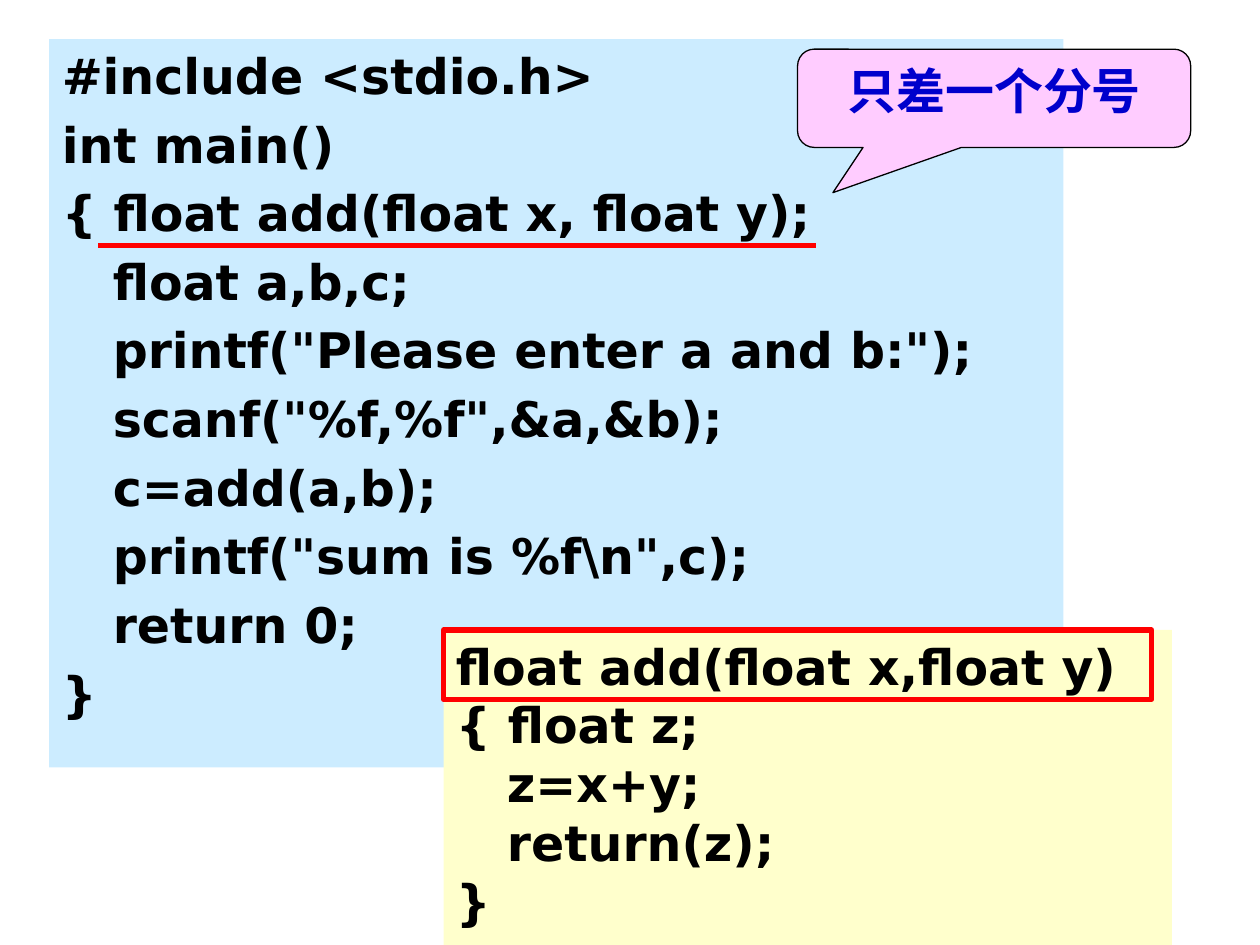
from dataclasses import dataclass

from lxml import etree
from pptx import Presentation
from pptx.dml.color import RGBColor
from pptx.enum.shapes import MSO_CONNECTOR, MSO_SHAPE
from pptx.enum.text import MSO_ANCHOR, MSO_AUTO_SIZE, PP_ALIGN
from pptx.oxml.ns import qn
from pptx.util import Inches, Pt

RECT = MSO_SHAPE.RECTANGLE
CALLOUT = MSO_SHAPE.ROUNDED_RECTANGULAR_CALLOUT
STRAIGHT = MSO_CONNECTOR.STRAIGHT
TOP = MSO_ANCHOR.TOP
NO_FIT = MSO_AUTO_SIZE.NONE
LEFT, CENTER = PP_ALIGN.LEFT, PP_ALIGN.CENTER

COLORS = {
    "blue": "CCECFF",
    "cream": "FFFFCC",
    "pink": "FFCCFF",
    "ink": "000000",
    "navy": "0000CC",
    "red": "FF0000",
}

MAIN_CODE = r"""#include <stdio.h>
int main()
{ float add(float x, float y);
   float a,b,c;
   printf("Please enter a and b:");
   scanf("%f,%f",&a,&b);
   c=add(a,b);
   printf("sum is %f\n",c);
   return 0;
}"""

ADD_CODE = """float add(float x,float y)
{ float z;
   z=x+y;
   return(z);
}"""


@dataclass
class Box:
    left: float
    top: float
    width: float
    height: float

    def emu(self):
        return [Inches(v) for v in (self.left, self.top, self.width, self.height)]


@dataclass
class Style:
    font: str = "DejaVu Sans"
    color: str = "ink"
    align: PP_ALIGN = LEFT
    gap: float = 0
    hang: float = 0


def rgb(name: str) -> RGBColor:
    return RGBColor.from_string(COLORS[name])


def paint(shape, fill: str = "", line: str = "", weight: float = 0) -> None:
    if fill:
        shape.fill.solid()
        shape.fill.fore_color.rgb = rgb(fill)
    else:
        shape.fill.background()
    if line:
        shape.line.color.rgb = rgb(line)
        shape.line.width = Pt(weight)
    else:
        shape.line.fill.background()


def write(shape, text: str, style: Style) -> None:
    frame = shape.text_frame
    frame.word_wrap = True
    frame.auto_size = NO_FIT
    frame.vertical_anchor = TOP
    frame.text = text
    for i, para in enumerate(frame.paragraphs):
        props = para._p.get_or_add_pPr()
        props.set("marL", str(Inches(style.hang)))
        props.set("indent", str(-Inches(style.hang)))
        etree.SubElement(props, qn("a:buNone"))
        para.alignment = style.align
        para.space_before = Pt(style.gap if i else 0)
        para.font.name = style.font
        para.font.size = Pt(28)
        para.font.bold = True
        para.font.color.rgb = rgb(style.color)


def add_box(slide, kind: MSO_SHAPE, box: Box, **look):
    shape = slide.shapes.add_shape(kind, *box.emu())
    shape.shadow.inherit = False
    paint(shape, **look)
    return shape


def add_rule(slide, left: float, right: float, y: float) -> None:
    rule = slide.shapes.add_connector(
        STRAIGHT, Inches(left), Inches(y), Inches(right), Inches(y))
    rule.line.color.rgb = rgb("red")
    rule.line.width = Pt(3)
    etree.SubElement(rule._element.spPr, qn("a:effectLst"))


def main() -> None:
    deck = Presentation()
    deck.slide_width, deck.slide_height = Inches(10), Inches(7.5)
    slide = deck.slides.add_slide(deck.slide_layouts[1])
    title = slide.shapes.title._element
    title.getparent().remove(title)

    # Main program
    body = slide.placeholders[1]
    body.left, body.top, body.width, body.height = Box(0.39, 0.31, 8.05, 5.78).emu()
    paint(body, "blue")
    write(body, MAIN_CODE, Style(gap=5.6, hang=0.38))

    # Function definition
    panel = add_box(slide, RECT, Box(3.52, 5, 5.78, 2.5), fill="cream")
    write(panel, ADD_CODE, Style())

    # Callout on the semicolon
    note = add_box(slide, CALLOUT, Box(6.33, 0.39, 3.12, 0.78),
                   fill="pink", line="ink", weight=0.75)
    for i, value in enumerate((-0.41, 0.96, 0.17)):
        note.adjustments[i] = value
    write(note, "只差一个分号", Style("Arial", "navy", CENTER))

    # Marks on the declaration and the function header
    add_rule(slide, 0.78, 6.48, 1.95)
    add_box(slide, RECT, Box(3.52, 5, 5.62, 0.55), line="red", weight=3)

    deck.save("out.pptx")


if __name__ == "__main__":
    main()
